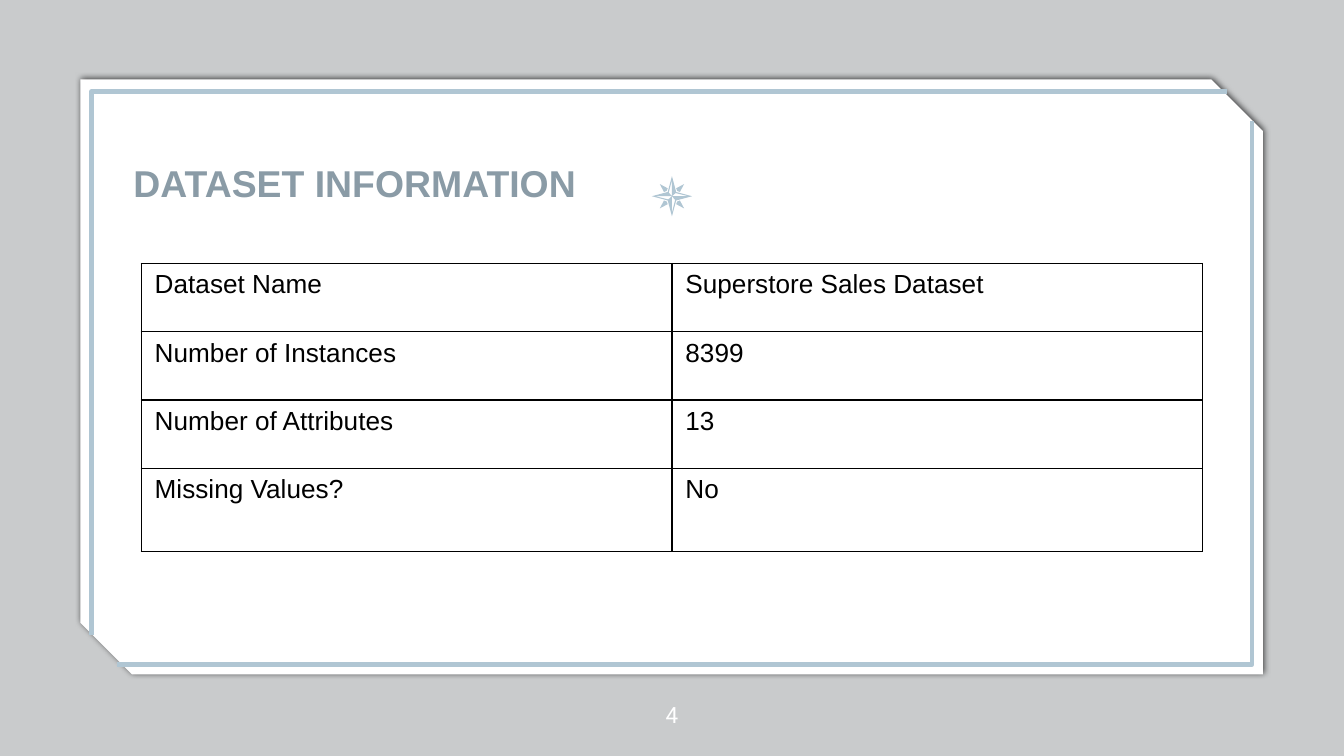
from typing import NamedTuple

from lxml.etree import SubElement
from pptx import Presentation
from pptx.dml.color import RGBColor
from pptx.enum.shapes import MSO_SHAPE
from pptx.enum.text import MSO_ANCHOR, PP_ALIGN
from pptx.oxml import parse_xml
from pptx.oxml.ns import nsdecls, qn
from pptx.util import Cm, Pt

INK = RGBColor(0x04, 0x0E, 0x11)
WHITE = RGBColor(0xFF, 0xFF, 0xFF)
BLACK = RGBColor(0x00, 0x00, 0x00)
PALE_BLUE = RGBColor(0xB0, 0xC6, 0xD3)
SLATE = RGBColor(0x8A, 0x9B, 0xA6)

PAGE_WIDTH, PAGE_HEIGHT = 25.4, 14.29


class Point(NamedTuple):
    x: float
    y: float


class Area(NamedTuple):
    left: float
    top: float
    width: float
    height: float

    def lengths(self) -> list[Cm]:
        return [Cm(value) for value in self]


class Fact(NamedTuple):
    label: str
    value: str


FACTS = [
    Fact("Dataset Name", "Superstore Sales Dataset"),
    Fact("Number of Instances", "8399"),
    Fact("Number of Attributes", "13"),
    Fact("Missing Values?", "No"),
]
TABLE_AREA = Area(2.67, 4.98, 20.06, 5.44)
ROW_HEIGHTS = [1.29, 1.29, 1.29, 1.57]

BRACKET = [Point(1.73, 12.01), Point(1.73, 1.73), Point(23.19, 1.73)]

# Compass outlines, measured from the centre; each is repeated every quarter turn.
COMPASS_CENTRE = Point(12.7, 3.71)
STAR_ARM = [Point(0, -0.38), Point(0.08, -0.08)]
ARM_HOLE = [Point(0, -0.31), Point(0, 0), Point(-0.06, -0.07)]
DIAGONAL = [Point(-0.23, -0.23), Point(-0.15, -0.08), Point(-0.1, -0.1), Point(-0.08, -0.15)]


def write(frame, text: str, *, size: float, color: RGBColor, font: str = "Arial",
          bold: bool = False, align: PP_ALIGN = PP_ALIGN.LEFT) -> None:
    para = frame.paragraphs[0]
    para.alignment = align
    span = para.add_run()
    span.text = text
    span.font.name = font
    span.font.size = Pt(size)
    span.font.bold = bold
    span.font.color.rgb = color


def add_label(page, area: Area, text: str, anchor: MSO_ANCHOR, **text_format) -> None:
    frame = page.shapes.add_textbox(*area.lengths()).text_frame
    frame.word_wrap = True
    frame.vertical_anchor = anchor
    frame.margin_left = frame.margin_right = frame.margin_top = frame.margin_bottom = 0
    write(frame, text, align=PP_ALIGN.CENTER, **text_format)


def add_panel(page, kind: MSO_SHAPE, area: Area, color: RGBColor):
    panel = page.shapes.add_shape(kind, *area.lengths())
    panel.shadow.inherit = False
    panel.fill.solid()
    panel.fill.fore_color.rgb = color
    panel.line.fill.background()
    return panel


def add_backdrop(page) -> None:
    backdrop = add_panel(page, MSO_SHAPE.RECTANGLE, Area(0, 0, PAGE_WIDTH, PAGE_HEIGHT), INK)
    color = backdrop._element.spPr.find(qn("a:solidFill")).find(qn("a:srgbClr"))
    SubElement(color, qn("a:alpha"), val="21000")


def add_card(page) -> None:
    card = add_panel(page, MSO_SHAPE.SNIP_2_DIAG_RECTANGLE, Area(1.52, 1.5, 22.35, 11.25), WHITE)
    card.adjustments[0] = 0
    card.adjustments[1] = 0.087
    effects = card._element.spPr.find(qn("a:effectLst"))
    shadow = SubElement(effects, qn("a:outerShdw"), blurRad=str(Pt(3.4)), dist=str(Pt(0.8)),
                        dir="0", algn="ctr", rotWithShape="0")
    SubElement(SubElement(shadow, qn("a:srgbClr"), val=str(BLACK)), qn("a:alpha"), val="68000")


def add_outline(page, contours: list[list[Point]], closed: bool):
    """Draw contours given in centimetres as one freeform."""
    scaled = [[(Cm(x), Cm(y)) for x, y in contour] for contour in contours]
    builder = page.shapes.build_freeform(*scaled[0][0], scale=1.0)
    for index, (start, *others) in enumerate(scaled):
        if index:
            builder.move_to(*start)
        builder.add_line_segments(others, close=closed)
    outline = builder.convert_to_shape()
    outline.shadow.inherit = False
    return outline


def add_bracket(page, points: list[Point]) -> None:
    bracket = add_outline(page, [points], closed=False)
    bracket.fill.background()
    bracket.line.color.rgb = PALE_BLUE
    bracket.line.width = Pt(2.25)


def quarter_turns(points: list[Point]) -> list[list[Point]]:
    """Return the points in four positions around the compass centre."""
    turns = []
    for _ in range(4):
        turns.append([Point(COMPASS_CENTRE.x + x, COMPASS_CENTRE.y + y) for x, y in points])
        points = [Point(-y, x) for x, y in points]
    return turns


def add_compass(page) -> None:
    star = [point for arm in quarter_turns(STAR_ARM) for point in arm]
    figures = [[kite] for kite in quarter_turns(DIAGONAL)]
    figures.append([*quarter_turns(ARM_HOLE), star])
    for contours in figures:
        figure = add_outline(page, contours, closed=True)
        figure.fill.solid()
        figure.fill.fore_color.rgb = PALE_BLUE
        figure.line.fill.background()


def add_borders(cell) -> None:
    properties = cell._tc.get_or_add_tcPr()
    for index, side in enumerate("LRTB"):
        properties.insert(index, parse_xml(
            f'<a:ln{side} {nsdecls("a")} w="{Pt(0.75)}"><a:solidFill>'
            f'<a:srgbClr val="{BLACK}"/></a:solidFill></a:ln{side}>'))


def add_fact_table(page) -> None:
    table = page.shapes.add_table(len(FACTS), 2, *TABLE_AREA.lengths()).table
    table.first_row = table.horz_banding = False
    for column in table.columns:
        column.width = Cm(TABLE_AREA.width / 2)
    for row, height, fact in zip(table.rows, ROW_HEIGHTS, FACTS):
        row.height = Cm(height)
        for cell, text in zip(row.cells, fact):
            cell.fill.background()
            add_borders(cell)
            write(cell.text_frame, text, size=14, color=BLACK)


def main() -> None:
    deck = Presentation()
    deck.slide_width, deck.slide_height = Cm(PAGE_WIDTH), Cm(PAGE_HEIGHT)
    page = deck.slides.add_slide(deck.slide_layouts[6])
    page.background.fill.solid()
    page.background.fill.fore_color.rgb = WHITE

    add_backdrop(page)
    add_card(page)
    add_bracket(page, BRACKET)
    add_bracket(page, [Point(PAGE_WIDTH - x, PAGE_HEIGHT - y) for x, y in BRACKET])
    add_compass(page)
    add_label(page, Area(0.71, 1.98, 11.99, 1.9), "DATASET INFORMATION", MSO_ANCHOR.BOTTOM,
              size=20, color=SLATE, bold=True)
    add_label(page, Area(11.94, 12.75, 1.52, 1.52), "4", MSO_ANCHOR.MIDDLE,
              size=12, color=WHITE, font="Roboto")
    add_fact_table(page)
    deck.save("out.pptx")


if __name__ == "__main__":
    main()
